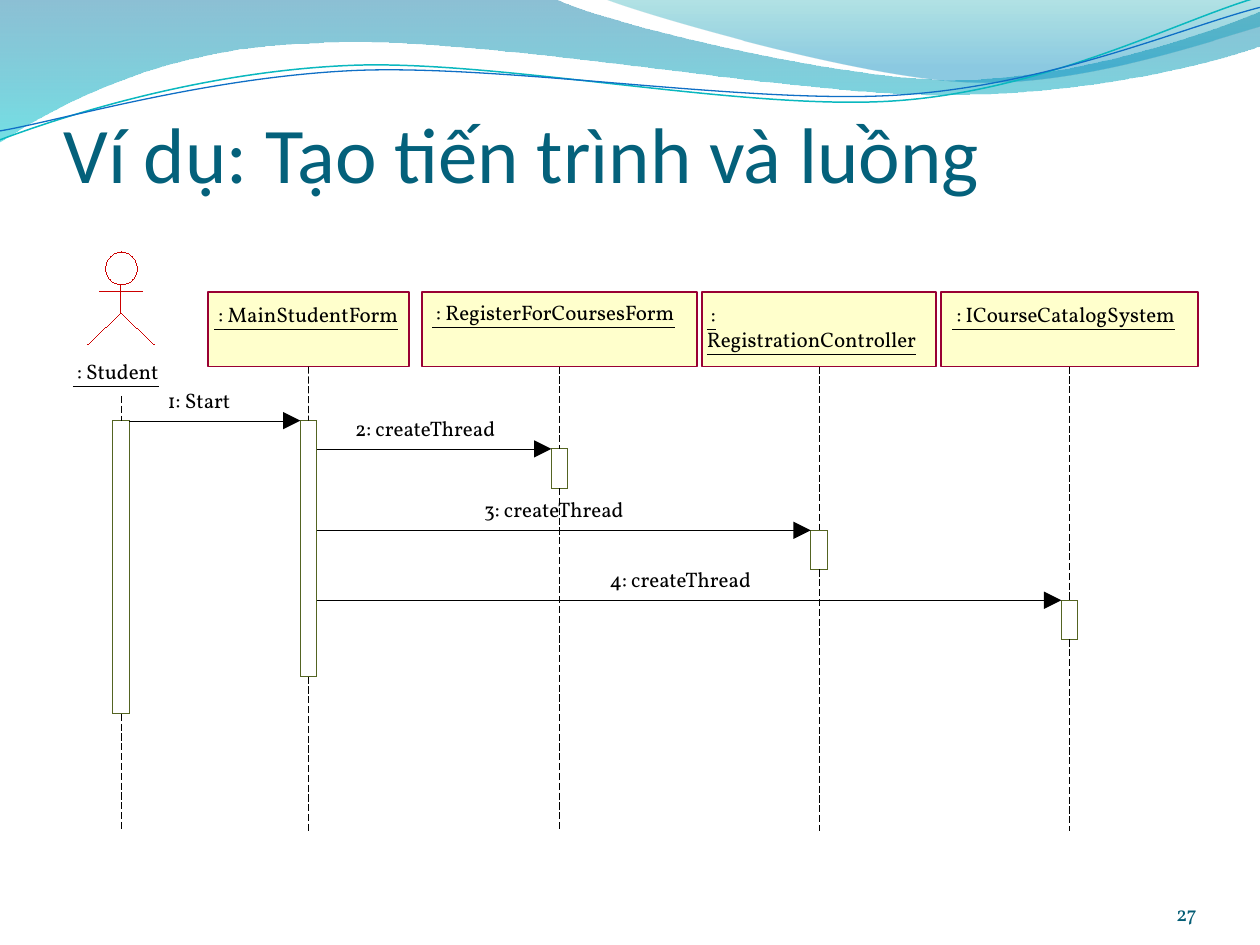
from lxml import etree
from pptx import Presentation
from pptx import util as u
from pptx.dml.color import RGBColor
from pptx.enum import dml, shapes, text
from pptx.oxml import ns

Cm = u.Cm
BLACK = RGBColor(0x00, 0x00, 0x00)
TITLE_BLUE = RGBColor(0x04, 0x61, 0x7B)
NUMBER_BLUE = RGBColor(0x04, 0x5D, 0x75)
ACTOR_RED = RGBColor(0xCC, 0x00, 0x00)
BOX_FILL = RGBColor(0xFF, 0xFF, 0xCC)
BOX_LINE = RGBColor(0x99, 0x00, 0x33)
BAR_GREEN = RGBColor(0x54, 0x64, 0x22)

BANDS = [
    ([(0, 0), (11.18, -0.03),
      (12.09, 0.43, 16.87, 1.6, 19.25, 1.6), (21.67, 1.6, 24.33, 0.66, 25.4, 0.23),
      (25.43, 0.91), (24.97, 1.12, 22.1, 1.93, 18.95, 1.91),
      (15.8, 1.91, 9.7, 0.71, 6.53, 0.86), (3.28, 0.91, 1.17, 2.11, -0.03, 2.87)],
     [(0, RGBColor(0x00, 0x74, 0xA1), 45), (1, RGBColor(0x00, 0xC6, 0xCF), 55)]),
    ([(12.17, -0.03), (12.93, 0.28, 17.32, 1.57, 19.53, 1.65),
      (21.74, 1.75, 24.41, 0.81, 25.4, 0.53), (25.4, 0)],
     [(0, RGBColor(0x00, 0xA1, 0xA9), 30), (0.8, RGBColor(0x00, 0x8B, 0xBF), 45)]),
]
STRANDS = [
    ([(0, 2.82), (1.22, 2.36, 4.01, 1.45, 7.04, 1.32),
      (10.03, 1.19, 15.06, 2.26, 18.11, 2.03), (21.16, 1.8, 23.83, 0.38, 25.35, -0.05)],
     RGBColor(0x0A, 0xB8, 0xBF), 0.85),
    ([(0, 2.64), (1.19, 2.44, 4.17, 1.55, 7.19, 1.42),
      (10.24, 1.3, 15.27, 2.13, 18.21, 1.91), (21.23, 1.7, 23.9, 0.53, 25.4, 0.15)],
     RGBColor(0x0F, 0x6F, 0xC6), 0.75),
]
ACTOR_X = 2.44
LIMBS = [
    [(ACTOR_X, 5.74), (ACTOR_X, 6.3)],
    [(2, 5.87), (2.87, 5.87)],
    [(1.77, 6.95), (ACTOR_X, 6.3), (3.11, 6.95)],
]

# name, box left, box width, label left, label top, label width, bar top, bar height
PARTICIPANTS = [
    (" : MainStudentForm", 4.19, 4.06, 4.32, 6.07, 3.71, 8.48, 5.16),
    (" : RegisterForCoursesForm", 8.51, 5.54, 8.71, 6.04, 5.13, 9.05, 0.79),
    (" : RegistrationController", 14.15, 4.72, 14.25, 6.07, 4.42, 10.69, 0.79),
    (" : ICourseCatalogSystem", 18.97, 5.18, 19.2, 6.07, 4.7, 12.1, 0.79),
]
# wording, label left, label width, sender, receiver (0 is the student)
MESSAGES = [
    ("1: Start", 3.38, 1.37, 0, 1),
    ("2: createThread", 7.16, 3.02, 1, 2),
    ("3: createThread", 9.76, 3.02, 1, 3),
    ("4: createThread", 12.29, 3.02, 1, 4),
]
BOX_TOP, BOX_HEIGHT, BAR_WIDTH, FOOT = 5.89, 1.5, 0.33, 16.76
LABEL_HEIGHT, MESSAGE_RISE = 0.51, 0.67

deck = Presentation()
deck.slide_width, deck.slide_height = Cm(25.4), Cm(19.05)
page = deck.slides.add_slide(deck.slide_layouts[6])


def add_outline(steps, close=False):
    ends = [(Cm(step[-2]), Cm(step[-1])) for step in steps]
    builder = page.shapes.build_freeform(*ends[0])
    builder.add_line_segments(ends[1:], close=close)
    outline = builder.convert_to_shape()
    outline.shadow.inherit = False
    outline.fill.background()
    segments = list(outline._element.iter(ns.qn("a:lnTo")))
    for segment, step in zip(segments, steps[1:]):
        if len(step) == 6:
            segment.tag = ns.qn("a:cubicBezTo")
            for i, (x, y) in enumerate((step[:2], step[2:4])):
                point = etree.Element(ns.qn("a:pt"), x=str(Cm(x) - outline.left),
                                      y=str(Cm(y) - outline.top))
                segment.insert(i, point)
    return outline


def set_line(item, color, width=0):
    item.line.color.rgb = color
    item.line._get_or_add_ln().set("w", str(u.Pt(width)))


def add_band(steps, stops):
    band = add_outline(steps, close=True)
    band.line.fill.background()
    band.fill.gradient()
    band.fill.gradient_angle = 270
    for stop, (position, color, opacity) in zip(band.fill.gradient_stops, stops):
        stop.position = position
        stop.color.rgb = color
    tints = band._element.spPr.find(ns.qn("a:gradFill")).iter(ns.qn("a:srgbClr"))
    for tint, stop in zip(tints, stops):
        etree.SubElement(tint, ns.qn("a:alpha"), val=str(stop[2] * 1000))


def add_shape(kind, left, top, width, height, color, weight=0, fill=None):
    box = page.shapes.add_shape(kind, Cm(left), Cm(top), Cm(width), Cm(height))
    box.shadow.inherit = False
    box.fill.background()
    if fill is not None:
        box.fill.solid()
        box.fill.fore_color.rgb = fill
    set_line(box, color, weight)
    return box


def add_line(x1, y1, x2, y2, dashed=False, arrow=False):
    line = page.shapes.add_connector(shapes.MSO_CONNECTOR.STRAIGHT,
                                     Cm(x1), Cm(y1), Cm(x2), Cm(y2))
    set_line(line, BLACK, 0.5 if dashed else 0)
    if dashed:
        line.line.dash_style = dml.MSO_LINE.LONG_DASH
    if arrow:
        etree.SubElement(line.line._get_or_add_ln(), ns.qn("a:tailEnd"),
                         type="triangle", w="lg", len="lg")
    etree.SubElement(line._element.spPr, ns.qn("a:effectLst"))
    return line


def add_text(wording, left, top, width, height, size=12, font="Vollkorn", color=BLACK,
             underline=False, wrap=True, fit=False, anchor=text.MSO_ANCHOR.TOP,
             align=text.PP_ALIGN.LEFT):
    box = page.shapes.add_textbox(Cm(left), Cm(top), Cm(width), Cm(height))
    frame = box.text_frame
    frame.margin_left = frame.margin_right = frame.margin_top = frame.margin_bottom = 0
    frame.word_wrap = wrap
    frame.auto_size = text.MSO_AUTO_SIZE.SHAPE_TO_FIT_TEXT if fit else text.MSO_AUTO_SIZE.NONE
    frame.vertical_anchor = anchor
    frame.text = wording
    para = frame.paragraphs[0]
    para.alignment = align
    for span in para.runs:
        span.font.size, span.font.name = u.Pt(size), font
        span.font.color.rgb = color
        if underline:
            span.font.underline = True


def add_bar(center, top, height):
    bar = add_shape(shapes.MSO_SHAPE.RECTANGLE, center - BAR_WIDTH / 2, top,
                    BAR_WIDTH, height, BAR_GREEN)
    tail = add_line(center, top + height, center, FOOT, dashed=True)
    tail.begin_connect(bar, 2)
    return bar


for steps, stops in BANDS:
    add_band(steps, stops)
for steps, color, weight in STRANDS:
    set_line(add_outline(steps), color, weight)

add_text("Ví dụ: Tạo tiến trình và luồng", 1.28, 1.96, 22.86, 2.06, size=45, font="Calibri",
         color=TITLE_BLUE, anchor=text.MSO_ANCHOR.BOTTOM)
add_text("27", 22.02, 17.65, 2.11, 1.02, color=NUMBER_BLUE,
         anchor=text.MSO_ANCHOR.BOTTOM, align=text.PP_ALIGN.RIGHT)

add_shape(shapes.MSO_SHAPE.OVAL, 2.13, 5.08, 0.64, 0.66, ACTOR_RED)
for limb in LIMBS:
    set_line(add_outline(limb), ACTOR_RED)
add_text(" : Student", 1.47, 7.22, 1.83, LABEL_HEIGHT, underline=True, wrap=False, fit=True)
student_bar = add_bar(ACTOR_X, 8.48, 5.91)
add_line(ACTOR_X, 7.98, ACTOR_X, 8.48, dashed=True).end_connect(student_bar, 0)

lanes = [(ACTOR_X, 8.48)]
for name, left, width, label_left, label_top, label_width, bar_top, bar_height in PARTICIPANTS:
    center = left + width / 2
    box = add_shape(shapes.MSO_SHAPE.RECTANGLE, left, BOX_TOP, width, BOX_HEIGHT,
                    BOX_LINE, 1, BOX_FILL)
    add_text(name, label_left, label_top, label_width, LABEL_HEIGHT, underline=True,
             wrap="Controller" in name, fit=True)
    bar = add_bar(center, bar_top, bar_height)
    lifeline = add_line(center, BOX_TOP + BOX_HEIGHT, center, bar_top, dashed=True)
    lifeline.begin_connect(box, 2)
    lifeline.end_connect(bar, 0)
    lanes.append((center, bar_top))

for wording, left, width, sender, receiver in MESSAGES:
    target, top = lanes[receiver]
    add_line(lanes[sender][0] + BAR_WIDTH / 2, top, target - BAR_WIDTH / 2, top, arrow=True)
    add_text(wording, left, top - MESSAGE_RISE, width, LABEL_HEIGHT, wrap=False, fit=True)

deck.save("out.pptx")
